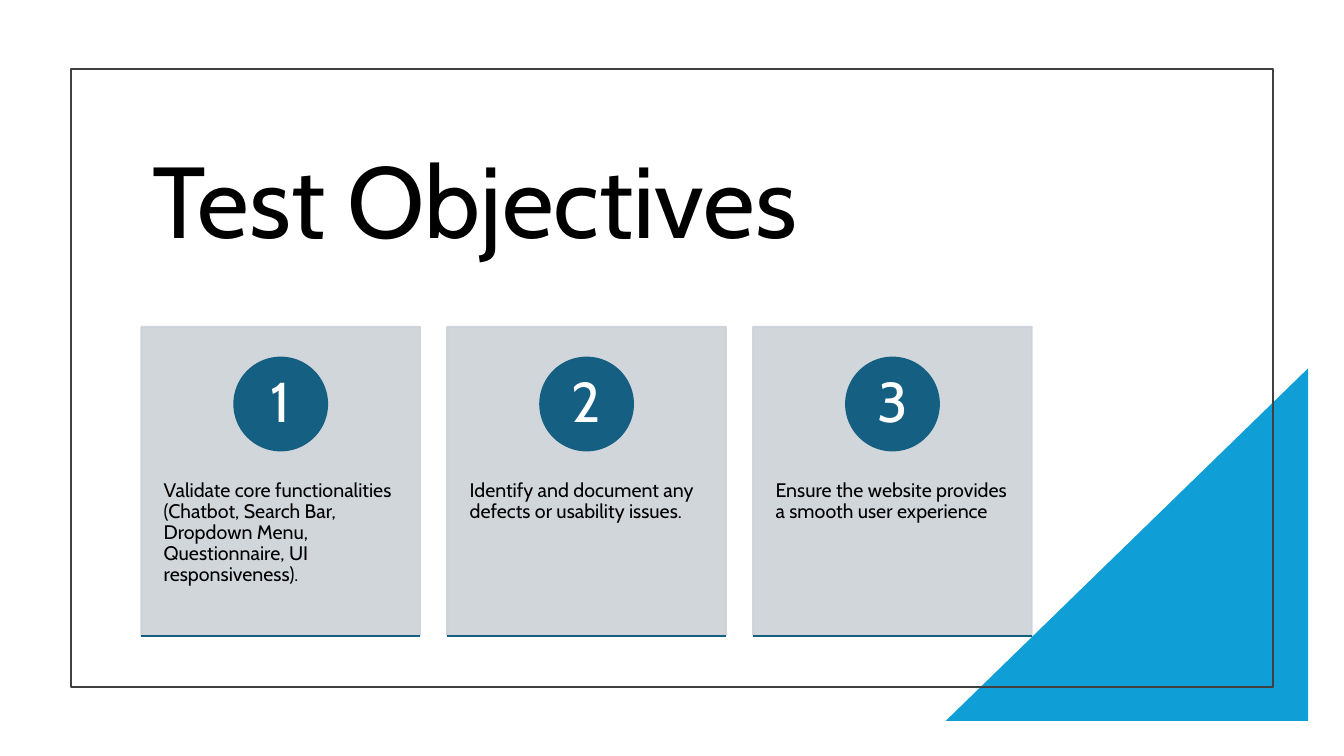
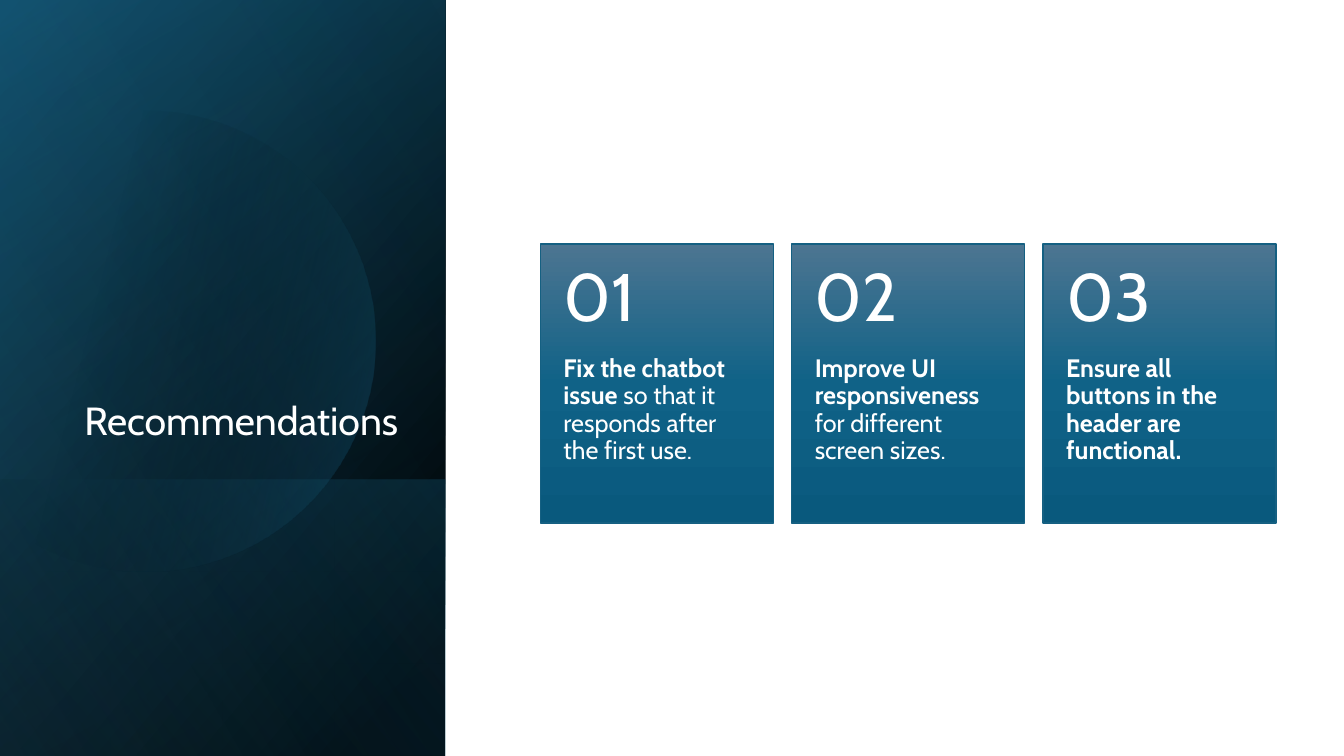
import math
from dataclasses import dataclass
from typing import NamedTuple

import lxml.etree
import pptx
import pptx.dml.color
import pptx.enum.shapes
import pptx.enum.text
import pptx.oxml.ns
import pptx.shapes.base
import pptx.slide
import pptx.util

Pt = pptx.util.Pt
qn = pptx.oxml.ns.qn
Kind = pptx.enum.shapes.MSO_SHAPE
Align = pptx.enum.text.PP_ALIGN
Anchor = pptx.enum.text.MSO_ANCHOR
Shape = pptx.shapes.base.BaseShape
Slide = pptx.slide.Slide


@dataclass(frozen=True)
class Theme:
    font: str = "Cabin"
    black: str = "000000"
    white: str = "FFFFFF"
    frame: str = "404040"
    sky: str = "0F9ED5"
    teal: str = "156082"
    deep: str = "104862"
    glow: str = "46B1E1"
    mist: str = "CCD2D8"
    high: str = "4C7591"
    mid: str = "106287"
    low: str = "09597D"
    hero: int = 72
    title: int = 28
    count: int = 48
    badge: int = 40
    lead: int = 18
    body: int = 14


T = Theme()


class Box(NamedTuple):
    left: float
    top: float
    width: float
    height: float


class Stop(NamedTuple):
    pos: int
    color: str
    alpha: int = 100


class Run(NamedTuple):
    words: str
    bold: bool = False


class Panel(NamedTuple):
    box: Box
    stops: list[Stop]
    angle: int


def rgb(color: str) -> pptx.dml.color.RGBColor:
    return pptx.dml.color.RGBColor.from_string(color)


def pts(box: Box) -> list[int]:
    return [Pt(side) for side in box]


def text(shape: Shape, runs: list[Run], *, size: int, color: str = T.white,
         align: Align = Align.LEFT, anchor: Anchor = Anchor.TOP,
         inset: tuple[float, float, float, float] = (7.2, 3.6, 7.2, 3.6)) -> None:
    frame = shape.text_frame
    frame.word_wrap = True
    frame.auto_size = pptx.enum.text.MSO_AUTO_SIZE.NONE
    frame.vertical_anchor = anchor
    (frame.margin_left, frame.margin_top,
     frame.margin_right, frame.margin_bottom) = [Pt(gap) for gap in inset]
    para = frame.paragraphs[0]
    para.alignment = align
    para.line_spacing = 0.9
    for words, bold in runs:
        run = para.add_run()
        run.text = words
        run.font.name = T.font
        run.font.size = Pt(size)
        run.font.bold = bold
        run.font.color.rgb = rgb(color)


def paint(shape: Shape, fill: str | None, line: str | None, width: float) -> None:
    shape.shadow.inherit = False
    if fill:
        shape.fill.solid()
        shape.fill.fore_color.rgb = rgb(fill)
    else:
        shape.fill.background()
    if line:
        shape.line.color.rgb = rgb(line)
        shape.line.width = Pt(width)
    else:
        shape.line.fill.background()


def draw(slide: Slide, kind: Kind, box: Box, *, fill: str | None = None,
         line: str | None = None, width: float = 1.5) -> Shape:
    shape = slide.shapes.add_shape(kind, *pts(box))
    paint(shape, fill, line, width)
    return shape


def fade(shape: Shape, alpha: int) -> None:
    for color in shape._element.spPr.iter(qn("a:srgbClr")):
        lxml.etree.SubElement(color, qn("a:alpha"), val=str(alpha * 1000))


def blend(shape: Shape, stops: list[Stop], angle: int) -> None:
    props = shape._element.spPr
    grad = lxml.etree.Element(qn("a:gradFill"), rotWithShape="1")
    group = lxml.etree.SubElement(grad, qn("a:gsLst"))
    for stop in stops:
        node = lxml.etree.SubElement(group, qn("a:gs"), pos=str(stop.pos * 1000))
        color = lxml.etree.SubElement(node, qn("a:srgbClr"), val=stop.color)
        if stop.alpha < 100:
            lxml.etree.SubElement(color, qn("a:alpha"), val=str(stop.alpha * 1000))
    lxml.etree.SubElement(grad, qn("a:lin"), ang=str(angle * 60000), scaled="0")
    props.replace(props.find(qn("a:noFill")), grad)


def head(slide: Slide, words: str, box: Box, *, size: int, color: str,
         align: Align, anchor: Anchor) -> None:
    title = slide.shapes.title
    title.left, title.top, title.width, title.height = pts(box)
    text(title, [Run(words)], size=size, color=color, align=align, anchor=anchor)
    slide.shapes._spTree.append(title._element)


def rule(slide: Slide, left: float, top: float, width: float) -> None:
    line = slide.shapes.add_connector(
        pptx.enum.shapes.MSO_CONNECTOR.STRAIGHT,
        Pt(left), Pt(top), Pt(left + width), Pt(top))
    line.line.color.rgb = rgb(T.teal)
    line.line.width = Pt(1.5)
    lxml.etree.SubElement(line._element.spPr, qn("a:effectLst"))


def goal(slide: Slide, box: Box, count: int, words: str) -> None:
    card = draw(slide, Kind.RECTANGLE, box, fill=T.mist, line=T.mist)
    fade(card, 90)
    text(card, [Run(words)], size=T.body, color=T.black, inset=(16, 109.5, 16, 26))
    side = 66.2
    spot = Box(box.left + (box.width - side) / 2, box.top + 22, side, side)
    badge = draw(slide, Kind.OVAL, spot, fill=T.teal, line=T.teal)
    text(badge, [Run(str(count))], size=T.badge, align=Align.CENTER,
         anchor=Anchor.MIDDLE, inset=(5, 1, 5, 1))
    rule(slide, box.left, box.top + box.height, box.width)


def advice(slide: Slide, box: Box, count: int, runs: list[Run]) -> None:
    card = draw(slide, Kind.RECTANGLE, box, line=T.teal, width=1)
    blend(card, [Stop(0, T.high), Stop(50, T.mid), Stop(100, T.low)], 90)
    text(card, runs, size=T.lead, inset=(16.5, 80, 16.5, 26))
    label = slide.shapes.add_textbox(*pts(box._replace(height=80)))
    text(label, [Run(f"{count:02}")], size=T.count, anchor=Anchor.MIDDLE,
         inset=(16.5, 13, 16.5, 13))


def disc(slide: Slide) -> None:
    x, y, radius = 104, 243.7, 164.5
    reach = math.acos(-x / radius)
    steps = 120
    turns = [reach * (2 * step / steps - 1) for step in range(steps + 1)]
    dots = [(Pt(x + radius * math.cos(turn)), Pt(y + radius * math.sin(turn)))
            for turn in turns]
    path = slide.shapes.build_freeform(*dots[0])
    path.add_line_segments(dots[1:], close=True)
    shape = path.convert_to_shape()
    paint(shape, None, None, 0)
    blend(shape, [Stop(29, T.black, 0), Stop(100, T.teal, 43)], 14)


def panel(slide: Slide, item: Panel) -> None:
    blend(draw(slide, Kind.RECTANGLE, item.box), item.stops, item.angle)


def goals(slide: Slide) -> None:
    wedge = draw(slide, Kind.RIGHT_TRIANGLE, Box(675.5, 263, 259, 252), fill=T.sky)
    wedge._element.spPr.find(qn("a:xfrm")).set("flipH", "1")
    draw(slide, Kind.RECTANGLE, Box(50.5, 49, 859, 441.5), line=T.frame)
    head(slide, "Test Objectives", Box(101.5, 83, 636, 127.5), size=T.hero,
         color=T.black, align=Align.LEFT, anchor=Anchor.MIDDLE)
    items = [
        "Validate core functionalities (Chatbot, Search Bar, Dropdown Menu, "
        "Questionnaire, UI responsiveness).",
        "Identify and document any defects or usability issues.",
        "Ensure the website provides a smooth user experience",
    ]
    for step, words in enumerate(items):
        goal(slide, Box(101 + 218.5 * step, 233.5, 199, 220.5), step + 1, words)


def advise(slide: Slide) -> None:
    side = Box(0, 0, 318, 540)
    foot = Box(0, 342.7, 318, 197.3)
    panel(slide, Panel(side, [Stop(8, T.black), Stop(100, T.deep)], 220))
    panel(slide, Panel(side, [Stop(0, T.black, 0), Stop(99, T.teal, 46)], 240))
    panel(slide, Panel(foot, [Stop(2, T.teal, 29), Stop(100, T.black, 30)], 140))
    disc(slide)
    panel(slide, Panel(side, [Stop(0, T.black, 0), Stop(99, T.glow, 11)], 150))
    head(slide, "Recommendations", Box(46, 132.5, 245.5, 188.5), size=T.title,
         color=T.white, align=Align.RIGHT, anchor=Anchor.BOTTOM)
    items = [
        [Run("Fix the chatbot issue", True),
         Run(" so that it responds after the first use.")],
        [Run("Improve UI responsiveness", True),
         Run(" for different screen sizes.")],
        [Run("Ensure all buttons in the header are functional.", True)],
    ]
    for step, runs in enumerate(items):
        advice(slide, Box(386, 174.2, 166.5, 199.5)._replace(left=386 + 179.5 * step),
               step + 1, runs)


def main() -> None:
    deck = pptx.Presentation()
    deck.slide_width, deck.slide_height = Pt(960), Pt(540)
    for build in (goals, advise):
        build(deck.slides.add_slide(deck.slide_layouts[5]))
    deck.save("out.pptx")


if __name__ == "__main__":
    main()
